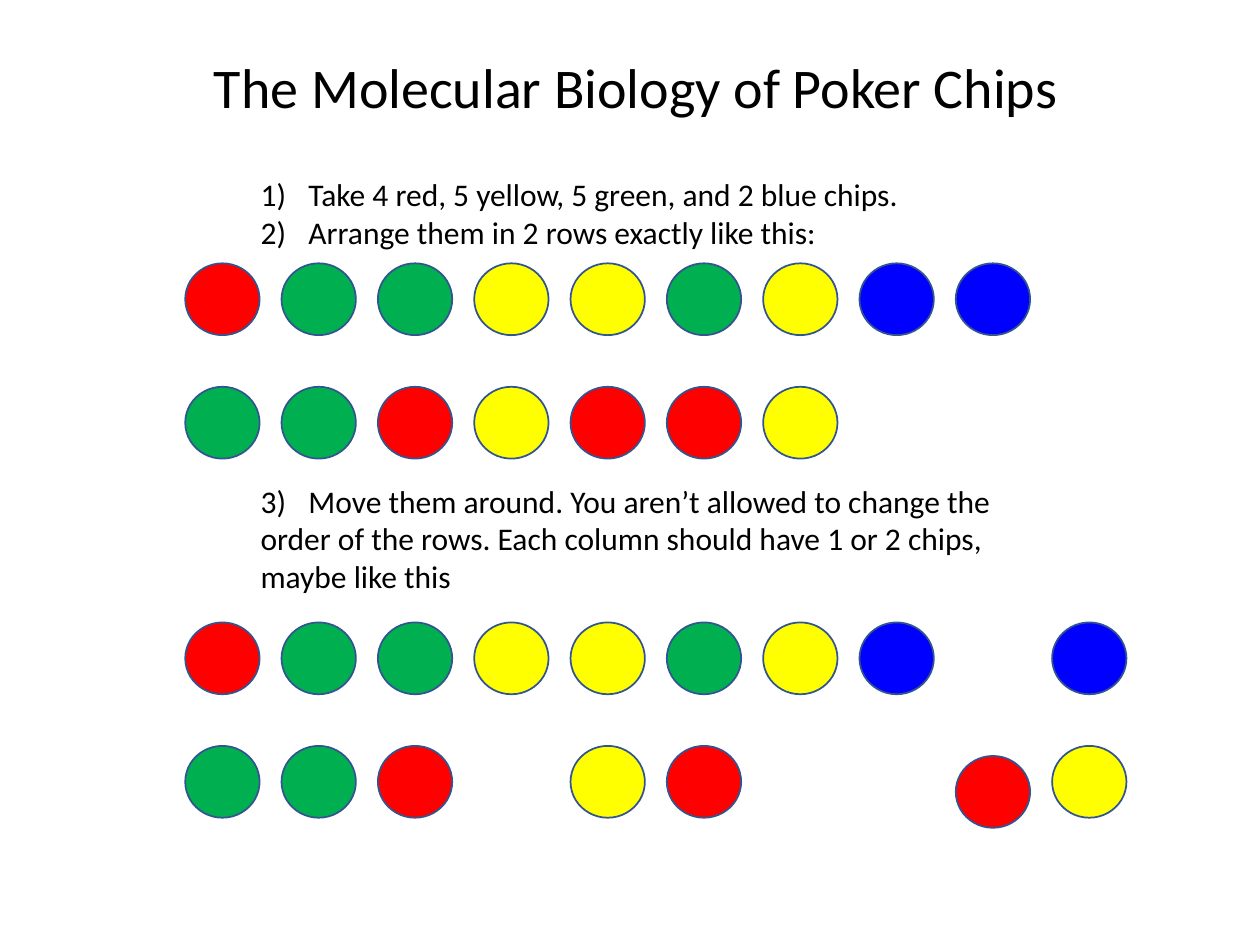
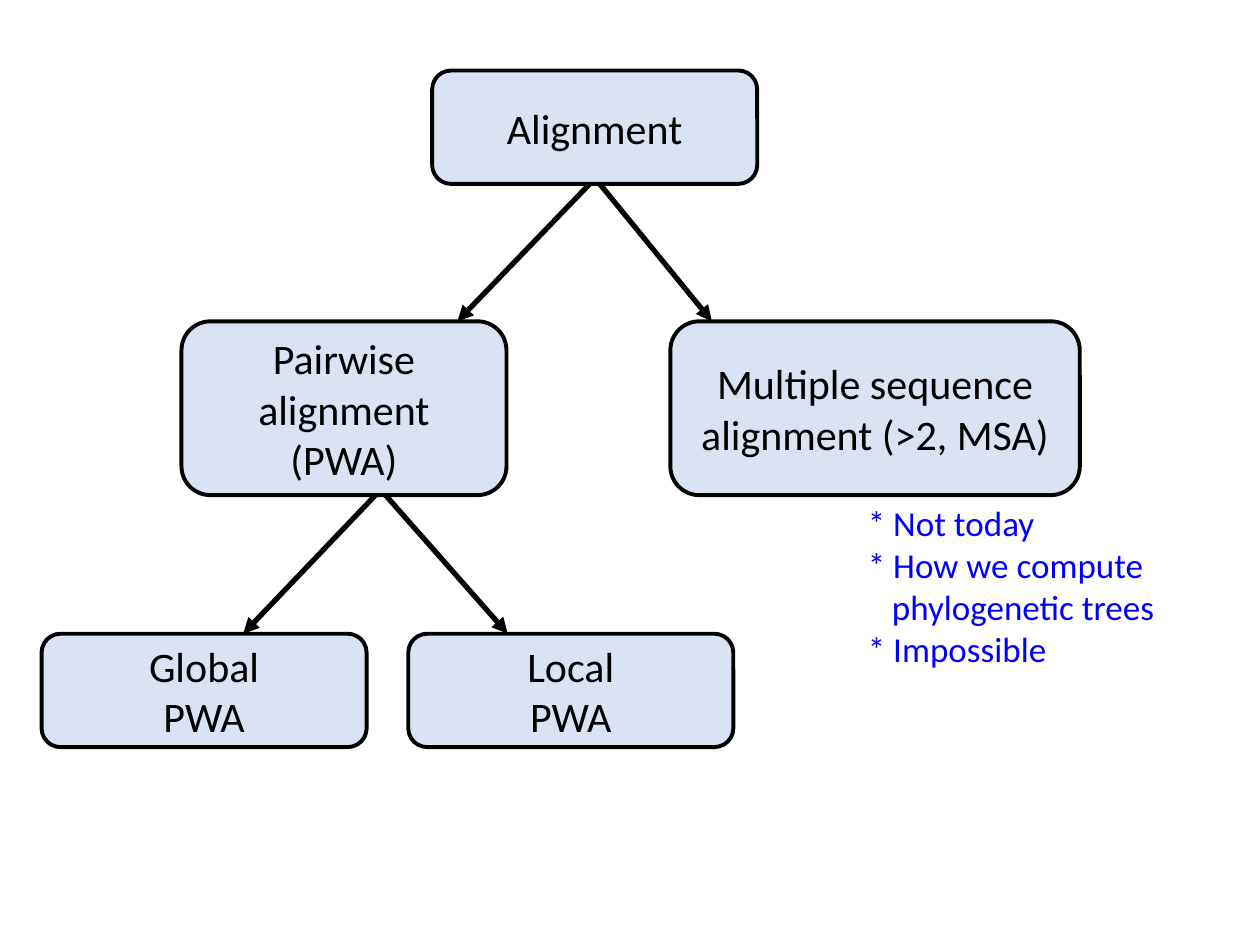
import lxml.etree
import pptx
import pptx.dml.color
import pptx.enum.shapes
import pptx.enum.text
import pptx.oxml.ns
import pptx.util

Inches = pptx.util.Inches
Pt = pptx.util.Pt
RGB = pptx.dml.color.RGBColor.from_string
qn = pptx.oxml.ns.qn
kinds = pptx.enum.shapes.MSO_SHAPE
align = pptx.enum.text.PP_ALIGN
fit = pptx.enum.text.MSO_AUTO_SIZE

# Shared look
theme = {
    "font": "Calibri",
    "ink": RGB("000000"),
    "note": RGB("0000FF"),
    "node": RGB("DAE3F3"),
    "rim": RGB("325491"),
    "chips": {"R": RGB("FF0000"), "G": RGB("00B050"),
              "Y": RGB("FFFF00"), "B": RGB("0000FF")},
    "title": Pt(32), "body": Pt(18), "label": Pt(24), "aside": Pt(20),
    "thin": Pt(1), "edge": Pt(2.25), "arrow": Pt(3),
}


def write(shape, lines, size, color, **form):
    """Fill a shape with paragraphs; form holds paragraph values."""
    frame = shape.text_frame
    for i, line in enumerate(lines):
        para = frame.paragraphs[0] if i == 0 else frame.add_paragraph()
        run = para.add_run()
        run.text = line
        look = {"name": theme["font"], "size": size}
        for key, value in look.items():
            setattr(run.font, key, value)
        run.font.color.rgb = color
        for key, value in form.items():
            setattr(para, key, value)
    return frame


def draw(slide, kind, box, fill, line, width):
    """Add a filled and outlined preset shape without a shadow."""
    shape = slide.shapes.add_shape(kind, *map(Inches, box))
    shape.shadow.inherit = False
    shape.fill.solid()
    shape.fill.fore_color.rgb = fill
    shape.line.color.rgb = line
    shape.line.width = width
    return shape


deck = pptx.Presentation()
deck.slide_width, deck.slide_height = Inches(10), Inches(7.5)
blank = deck.slide_layouts[6]

# Slide 1: poker chips
slide = deck.slides.add_slide(blank)

# Rows of chips on a ten-column grid; a dot leaves a gap
left, last = 1.47, 8.35
pitch = (last - left) / 9
rows = [(2.09, "RGGYYGYBB"), (3.07, "GGRYRRY"),
        (4.94, "RGGYYGYB.B"), (5.92, "GGR.YR...Y"), (6, "........R")]
for top, row in rows:
    for col, chip in enumerate(row):
        if chip != ".":
            draw(slide, kinds.OVAL, (left + col * pitch, top, 0.59, 0.57),
                 theme["chips"][chip], theme["rim"], theme["thin"])

# Title
title = slide.shapes.add_textbox(*map(Inches, (1.6, 0.37, 6.97, 0.64)))
frame = write(title, ["The Molecular Biology of Poker Chips"],
              theme["title"], theme["ink"])
frame.word_wrap = False
frame.auto_size = fit.SHAPE_TO_FIT_TEXT

# Numbered steps, with room for two rows of chips before the third
steps = slide.shapes.add_textbox(*map(Inches, (1.97, 1.34, 6.47, 3.43)))
frame = write(steps, [
    "Take 4 red, 5 yellow, 5 green, and 2 blue chips.",
    "Arrange them in 2 rows exactly like this:",
    "Move them around. You aren’t allowed to change the",
    "order of the rows. Each column should have 1 or 2 chips, maybe like this",
], theme["body"], theme["ink"])
frame.word_wrap = True
frame.auto_size = fit.SHAPE_TO_FIT_TEXT
frame.paragraphs[2].space_before = Pt(132)
for num, para in enumerate(frame.paragraphs[:3], 1):
    props = para._p.get_or_add_pPr()
    props.set("marL", str(Inches(0.38)))
    props.set("indent", str(-Inches(0.38)))
    mark = lxml.etree.SubElement(props, qn("a:buAutoNum"), type="arabicParenR")
    if num == 3:
        mark.set("startAt", "3")

# Slide 2: alignment tree
slide = deck.slides.add_slide(blank)

# Nodes
nodes = [
    ((3.43, 0.56, 2.58, 0.9), ["Alignment"]),
    ((1.44, 2.55, 2.58, 1.38), ["Pairwise alignment", "(PWA)"]),
    ((5.32, 2.55, 3.25, 1.38), ["Multiple sequence alignment (>2, MSA)"]),
    ((0.33, 5.03, 2.58, 0.9), ["Global", "PWA"]),
    ((3.24, 5.03, 2.58, 0.9), ["Local", "PWA"]),
]
for box, lines in nodes:
    node = draw(slide, kinds.ROUNDED_RECTANGLE, box,
                theme["node"], theme["ink"], theme["edge"])
    frame = write(node, lines, theme["label"], theme["ink"],
                  alignment=align.CENTER)
    frame.word_wrap = True
    frame.vertical_anchor = pptx.enum.text.MSO_ANCHOR.MIDDLE

# Arrows between the levels
links = [(4.68, 1.46, 3.63, 2.55), (4.76, 1.46, 5.65, 2.55),
         (2.98, 3.93, 1.93, 5.03), (3.06, 3.93, 4.03, 5.03)]
for ends in links:
    link = slide.shapes.add_connector(
        pptx.enum.shapes.MSO_CONNECTOR.STRAIGHT, *map(Inches, ends))
    link.line.color.rgb = theme["ink"]
    link.line.width = theme["arrow"]
    lxml.etree.SubElement(link.line._get_or_add_ln(), qn("a:tailEnd"),
                          type="triangle")
    lxml.etree.SubElement(link._element.spPr, qn("a:effectLst"))

# Side notes
notes = slide.shapes.add_textbox(*map(Inches, (6.79, 3.93, 2.5, 1.45)))
frame = write(notes, ["* Not today", "* How we compute",
                      "phylogenetic trees", "* Impossible"],
              theme["aside"], theme["note"])
frame.word_wrap = False
frame.auto_size = fit.SHAPE_TO_FIT_TEXT
frame.paragraphs[2]._p.get_or_add_pPr().set("marL", str(Inches(0.19)))

deck.save("out.pptx")
